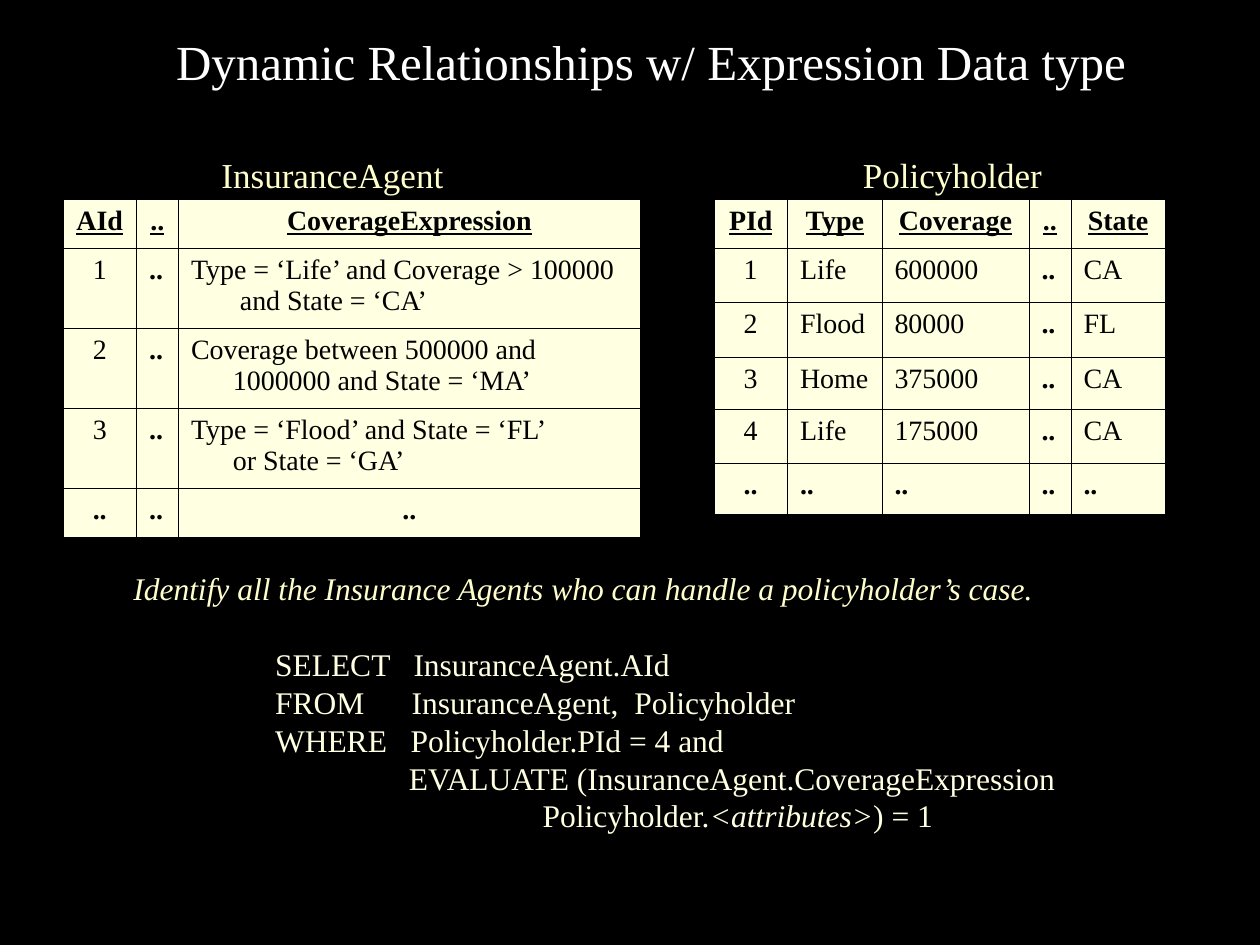
import dataclasses
import pptx
import pptx.dml.color
import pptx.enum.text
import pptx.oxml
import pptx.oxml.ns
import pptx.util

Pt = pptx.util.Pt
Align = pptx.enum.text.PP_ALIGN


@dataclasses.dataclass(frozen=True)
class Theme:
    font: str = "Times New Roman"
    background: str = "000000"
    title: str = "FFFFFF"
    accent: str = "FFFFCC"
    pale: str = "FFFFE1"
    ink: str = "000000"
    title_size: float = 28
    label_size: float = 20
    body_size: float = 18
    cell_size: float = 16
    outer_line: float = 1.08
    inner_line: float = 0.45


THEME = Theme()


def apply(target, values):
    for name, value in values.items():
        setattr(target, name, value)


def place(shape, box):
    apply(shape, dict(zip(("left", "top", "width", "height"), map(Pt, box))))


def format_font(font, size, color, **extra):
    apply(font, {"name": THEME.font, "size": Pt(size), **extra})
    font.color.rgb = pptx.dml.color.RGBColor.from_string(color)


def add_runs(paragraph, runs, color):
    for text, italic in runs:
        run = paragraph.add_run()
        run.text = text
        format_font(run.font, THEME.body_size, color, italic=italic)


def set_indent(paragraph, margin, indent):
    properties = paragraph._p.get_or_add_pPr()
    properties.set("marL", str(Pt(margin)))
    properties.set("indent", str(Pt(indent)))
    properties.append(pptx.oxml.parse_xml(
        f"<a:buNone {pptx.oxml.ns.nsdecls('a')}/>"))


def set_borders(cell, edges):
    properties = cell._tc.get_or_add_tcPr()
    for index, (side, outer) in enumerate(edges.items()):
        width = Pt(THEME.outer_line if outer else THEME.inner_line)
        properties.insert(index, pptx.oxml.parse_xml(
            f"<a:{side} {pptx.oxml.ns.nsdecls('a')} w=\"{width}\"><a:solidFill>"
            f"<a:srgbClr val=\"{THEME.ink}\"/></a:solidFill></a:{side}>"))


def add_title(slide, box, text):
    title = slide.shapes.title
    place(title, box)
    title.text_frame.text = text
    apply(title.text_frame, {
        "vertical_anchor": pptx.enum.text.MSO_ANCHOR.MIDDLE,
        "auto_size": pptx.enum.text.MSO_AUTO_SIZE.NONE,
    })
    paragraph = title.text_frame.paragraphs[0]
    paragraph.alignment = Align.CENTER
    format_font(paragraph.runs[0].font, THEME.title_size, THEME.title)


def add_label(slide, box, text):
    label = slide.shapes.add_textbox(*map(Pt, box))
    label.text_frame.text = text
    apply(label.text_frame, {
        "word_wrap": False,
        "auto_size": pptx.enum.text.MSO_AUTO_SIZE.SHAPE_TO_FIT_TEXT,
    })
    format_font(label.text_frame.paragraphs[0].runs[0].font,
                THEME.label_size, THEME.accent)


def add_relation(slide, origin, label, label_box, widths, heights, rows, centered=()):
    left, top = origin
    table = slide.shapes.add_table(
        len(rows), len(widths), Pt(left), Pt(top), Pt(sum(widths)), Pt(sum(heights))).table
    for column, width in zip(table.columns, widths):
        column.width = Pt(width)
    for row, height in zip(table.rows, heights):
        row.height = Pt(height)
    last_row, last_column = len(rows) - 1, len(widths) - 1
    for row_index, row in enumerate(rows):
        for column_index, text in enumerate(row):
            cell = table.cell(row_index, column_index)
            header = row_index == 0
            cell.fill.solid()
            cell.fill.fore_color.rgb = pptx.dml.color.RGBColor.from_string(THEME.pale)
            set_borders(cell, {
                "lnL": column_index == 0,
                "lnR": column_index == last_column,
                "lnT": header,
                "lnB": row_index == last_row,
            })
            cell.text = text
            paragraph = cell.text_frame.paragraphs[0]
            middle = header or column_index == 0 or (row_index, column_index) in centered
            paragraph.alignment = Align.CENTER if middle else Align.LEFT
            for run in paragraph.runs:
                format_font(run.font, THEME.cell_size, THEME.ink,
                            bold=header or text == "..", underline=header)
    offset_x, offset_y, width, height = label_box
    add_label(slide, (left + offset_x, top + offset_y, width, height), label)


def add_query(slide, box, question, statement):
    body = slide.placeholders[1]
    place(body, box)
    frame = body.text_frame
    apply(frame, {
        "word_wrap": True,
        "auto_size": pptx.enum.text.MSO_AUTO_SIZE.NONE,
        "vertical_anchor": pptx.enum.text.MSO_ANCHOR.TOP,
    })
    paragraph = frame.paragraphs[0]
    set_indent(paragraph, 27, 0)
    apply(paragraph, {"line_spacing": 0.9, "space_before": Pt(0)})
    add_runs(paragraph, [(question, True)], THEME.accent)
    for index, runs in enumerate(statement):
        paragraph = frame.add_paragraph()
        set_indent(paragraph, 126, -18)
        apply(paragraph, {"level": 3, "space_before": Pt(0 if index else 21.6)})
        add_runs(paragraph, runs, THEME.pale)


def main():
    presentation = pptx.Presentation()
    apply(presentation, {"slide_width": Pt(720), "slide_height": Pt(540)})
    slide = presentation.slides.add_slide(presentation.slide_layouts[1])
    slide.background.fill.solid()
    slide.background.fill.fore_color.rgb = pptx.dml.color.RGBColor.from_string(
        THEME.background)

    add_title(slide, (66, 12, 612, 46), "Dynamic Relationships w/ Expression Data type")
    add_relation(
        slide, (36, 114), "InsuranceAgent", (83.5, -30, 144, 31),
        (42, 24, 264), (28, 45.7, 45.7, 45.7, 28),
        [("AId", "..", "CoverageExpression"),
         ("1", "..", "Type = ‘Life’ and Coverage > 100000\v       and State = ‘CA’"),
         ("2", "..", "Coverage between 500000 and\v      1000000 and State = ‘MA’"),
         ("3", "..", "Type = ‘Flood’ and State = ‘FL’\v      or State = ‘GA’"),
         ("..", "..", "..")],
        centered={(4, 2)})
    add_relation(
        slide, (408, 114), "Policyholder", (78, -30, 119, 31),
        (42, 54, 84, 24, 54), (28, 31, 31, 30, 31, 29),
        [("PId", "Type", "Coverage", "..", "State"),
         ("1", "Life", "600000", "..", "CA"),
         ("2", "Flood", "80000", "..", "FL"),
         ("3", "Home", "375000", "..", "CA"),
         ("4", "Life", "175000", "..", "CA"),
         ("..",) * 5])
    add_query(
        slide, (42, 324, 654, 162),
        "Identify all the Insurance Agents who can handle a policyholder’s case.",
        [[("SELECT   InsuranceAgent.AId", False)],
         [("FROM      InsuranceAgent,  Policyholder", False)],
         [("WHERE   Policyholder.PId = 4 and", False)],
         [("                 EVALUATE (InsuranceAgent.CoverageExpression", False)],
         [("                                  Policyholder.", False),
          ("<attributes>", True), (") = 1", False)]])
    presentation.save("out.pptx")


if __name__ == "__main__":
    main()
